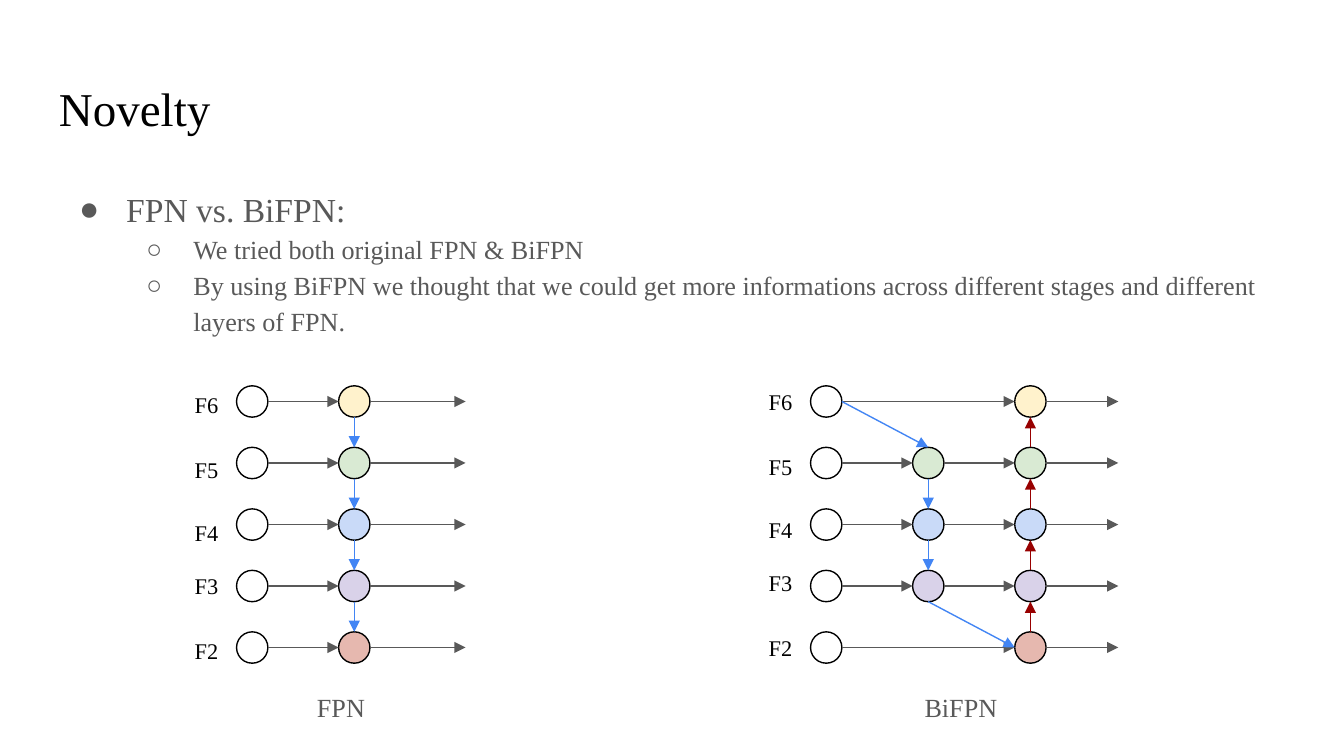
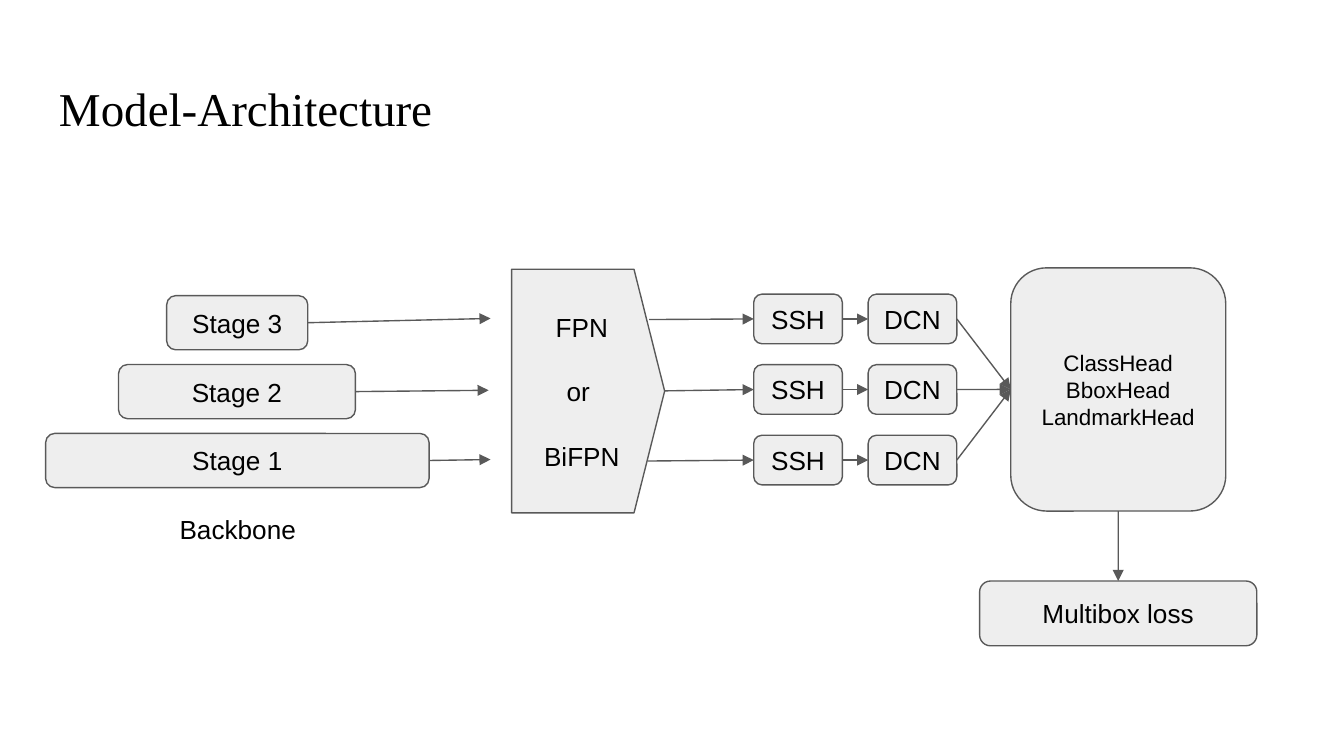
"""Builds two slides: FPN against BiFPN, and the model architecture."""
from lxml import etree
from pptx import Presentation
from pptx.dml.color import RGBColor
from pptx.enum import shapes, text
from pptx.oxml.ns import qn
from pptx.util import Pt

SERIF, SANS = "Times New Roman", "Arial"
BLACK, GREY, PALE, BLUE, RED = "000000", "595959", "EEEEEE", "4285F4", "980000"
SHAPE, LEFT, CENTER = shapes.MSO_SHAPE, text.PP_ALIGN.LEFT, text.PP_ALIGN.CENTER
TOP, MIDDLE = text.MSO_ANCHOR.TOP, text.MSO_ANCHOR.MIDDLE

BULLETS = [
    (0, "FPN vs. BiFPN:"),
    (1, "We tried both original FPN & BiFPN"),
    (1, "By using BiFPN we thought that we could get more informations across "
        "different stages and different layers of FPN."),
]
BULLET_STYLES = [("●", 18), ("○", 14)]
LEVELS = [("F6", "FFF2CC", 202.5), ("F5", "D9EAD3", 237), ("F4", "C9DAF8", 271),
          ("F3", "D9D2E9", 299.5), ("F2", "E6B8AF", 334)]
NODE, NODE_TOP, ROW, COLUMN = 16.8, 206.7, 32.95, 54.7
FPN_LEFT, BIFPN_LEFT = 126.7, 434.2
CAPTIONS = [("FPN", 162.7, 49), ("BiFPN", 488.2, 56.2)]

STAGES = [("Stage 3", 89.3, 158.4, 75.6), ("Stage 2", 63.5, 195.3, 126.9),
          ("Stage 1", 24.5, 232.2, 205.4)]
STAGE_ENDS = [(262.8, 170.6), (261.8, 209.1), (262.8, 246.2)]
NECK_EXITS = [(347.8, 171.2), (356.3, 209.4), (347, 247)]
NECK = ["FPN", "or ", "BiFPN"]
HEADS = ["ClassHead", "BboxHead", "LandmarkHead"]
BRANCH_TOP, BRANCH_STEP = 157.6, 37.8


def rgb(color):
    return RGBColor.from_string(color)


def write(sp, lines, size, font=SERIF, color=BLACK, align=LEFT, anchor=TOP, gap=0):
    tf = sp.text_frame
    tf.word_wrap = True
    tf.vertical_anchor = anchor
    tf.margin_left = tf.margin_right = tf.margin_top = tf.margin_bottom = Pt(7.2)
    for i, line in enumerate(lines):
        p = tf.paragraphs[0] if i == 0 else tf.add_paragraph()
        p.text, p.alignment = line, align
        p.font.size, p.font.name, p.font.color.rgb = Pt(size), font, rgb(color)
        if i and gap:
            p.space_before = Pt(gap)


def label(s, box, lines, size, **style):
    sp = s.shapes.add_textbox(*map(Pt, box))
    write(sp, lines, size, **style)
    return sp


def shape(s, kind, box, fill=None):
    sp = s.shapes.add_shape(kind, *map(Pt, box))
    sp.shadow.inherit = False
    if fill:
        sp.fill.solid()
        sp.fill.fore_color.rgb = rgb(fill)
    else:
        sp.fill.background()
    sp.line.width = Pt(0.75)
    sp.line.color.rgb = rgb(BLACK if kind == SHAPE.FLOWCHART_CONNECTOR else GREY)
    return sp


def block(s, box, lines, size=14):
    sp = shape(s, SHAPE.ROUNDED_RECTANGLE, box, PALE)
    write(sp, lines, size, font=SANS, align=CENTER, anchor=MIDDLE)
    return sp


def arrow(s, start, end, color=GREY):
    """Draws an arrow between ends given as (x, y) points or (shape, site) pairs."""
    joined = [not isinstance(e[0], (int, float)) for e in (start, end)]
    points = [(0, 0) if j else e for j, e in zip(joined, (start, end))]
    c = s.shapes.add_connector(shapes.MSO_CONNECTOR.STRAIGHT,
                               *(Pt(v) for point in points for v in point))
    if joined[0]:
        c.begin_connect(*start)
    if joined[1]:
        c.end_connect(*end)
    c.line.width, c.line.color.rgb = Pt(0.75), rgb(color)
    etree.SubElement(c.line._get_or_add_ln(), qn("a:tailEnd"), type="triangle")
    etree.SubElement(c._element.spPr, qn("a:effectLst"))


def titled_slide(prs, title):
    s = prs.slides.add_slide(prs.slide_layouts[6])
    label(s, (24.5, 35.3, 671, 45.4), [title], 25.2)
    return s


def bullet_list(s):
    sp = label(s, (24.5, 90.7, 671, 269.3), [line for _, line in BULLETS], 14, color=GREY)
    for p, (level, _) in zip(sp.text_frame.paragraphs, BULLETS):
        mark, size = BULLET_STYLES[level]
        p.level, p.line_spacing, p.font.size = level, 1.15, Pt(size)
        pPr = p._p.get_or_add_pPr()
        pPr.set("marL", str(Pt(36 * (level + 1))))
        pPr.set("indent", str(-Pt(25.2)))
        color = etree.Element(qn("a:buClr"))
        etree.SubElement(color, qn("a:srgbClr"), val=GREY)
        default = pPr.find(qn("a:defRPr"))
        for el in (color, etree.Element(qn("a:buFont"), typeface=SERIF),
                   etree.Element(qn("a:buChar"), char=mark)):
            default.addprevious(el)


def node_side(left, column, row, dx, dy):
    """Returns a point on a node: dx and dy run from 0 to 1 across it."""
    return left + column * COLUMN + dx * NODE, NODE_TOP + row * ROW + dy * NODE


def pyramid(s, left, columns, label_shift):
    last = len(columns) - 1
    for row, (name, color, label_top) in enumerate(LEVELS):
        label(s, (left - 29.5, label_top - label_shift, 29.5, 28.8), [name], 12)
        present = [c for c in range(last + 1) if row in columns[c]]
        for c in present:
            shape(s, SHAPE.FLOWCHART_CONNECTOR,
                  (*node_side(left, c, row, 0, 0), NODE, NODE), color if c else None)
        for a, b in zip(present, present[1:]):
            arrow(s, node_side(left, a, row, 1, .5), node_side(left, b, row, 0, .5))
        x, y = node_side(left, last, row, 1, .5)
        arrow(s, (x, y), (left + last * COLUMN + (68 if last == 1 else 55.5), y))


def flow(s, left, column, rows, color):
    for a, b in zip(rows, rows[1:]):
        down = b > a
        arrow(s, node_side(left, column, a, .5, int(down)),
              node_side(left, column, b, .5, int(not down)), color)


def novelty(prs):
    s = titled_slide(prs, "Novelty")
    bullet_list(s)
    every, inner = range(5), range(1, 4)
    pyramid(s, FPN_LEFT, [every, every], 0)
    flow(s, FPN_LEFT, 1, every, BLUE)
    pyramid(s, BIFPN_LEFT, [every, inner, every], 1.6)
    flow(s, BIFPN_LEFT, 1, inner, BLUE)
    flow(s, BIFPN_LEFT, 2, every[::-1], RED)
    arrow(s, node_side(BIFPN_LEFT, 0, 0, 1, .5), node_side(BIFPN_LEFT, 1, 1, .5, 0), BLUE)
    arrow(s, node_side(BIFPN_LEFT, 1, 3, .5, 1), node_side(BIFPN_LEFT, 2, 4, 0, .5), BLUE)
    for caption, left, width in CAPTIONS:
        label(s, (left, 363, width, 31.7), [caption], 14, color=GREY)


def architecture(prs):
    s = titled_slide(prs, "Model-Architecture")
    for (name, left, top, width), end in zip(STAGES, STAGE_ENDS):
        arrow(s, (block(s, (left, top, width, 29), [name]), 3), end)
    label(s, (65.5, 267.8, 123.8, 31.7), ["Backbone"], 14,
          font=SANS, align=CENTER, anchor=MIDDLE)
    neck = shape(s, SHAPE.FLOWCHART_OFFPAGE_CONNECTOR, (249.8, 168.5, 130.5, 82), PALE)
    neck.rotation = 270
    label(s, (281.5, 160, 60.5, 99.4), NECK, 14,
          font=SANS, align=CENTER, anchor=MIDDLE, gap=17.6)
    heads = block(s, (541.5, 143.5, 115.2, 130.3), HEADS, 12)
    loss = block(s, (524.8, 311.3, 148.5, 34.7), ["Multibox loss"])
    for row, neck_exit in enumerate(NECK_EXITS):
        top = BRANCH_TOP + row * BRANCH_STEP
        ssh, dcn = (block(s, (left, top, 47.5, 26.6), [name])
                    for name, left in (("SSH", 403.8), ("DCN", 465.1)))
        arrow(s, neck_exit, (ssh, 1))
        arrow(s, (ssh, 3), (dcn, 1))
        arrow(s, (dcn, 3), (heads, 1))
    arrow(s, (heads, 2), (loss, 0))


def main():
    prs = Presentation()
    prs.slide_width, prs.slide_height = Pt(720), Pt(405)
    novelty(prs)
    architecture(prs)
    prs.save("out.pptx")


if __name__ == "__main__":
    main()
